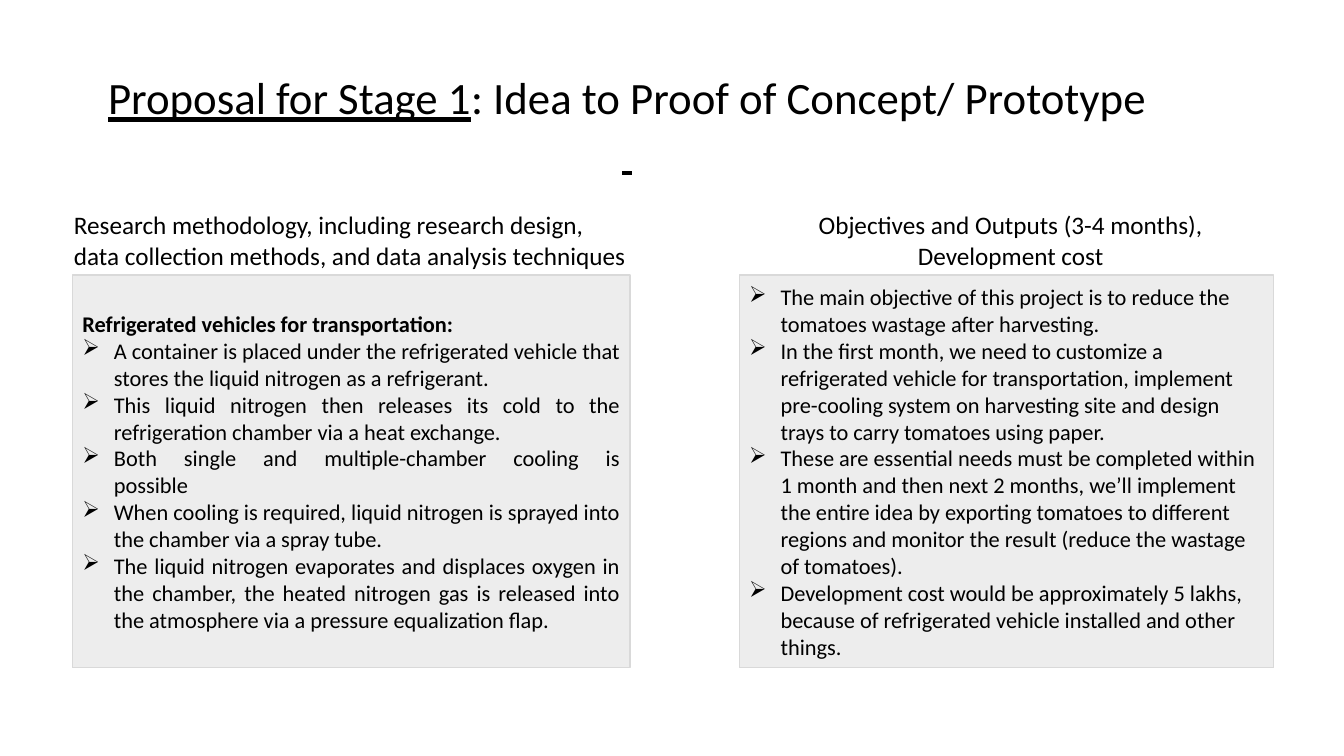
"""Build the Stage 1 proposal slide with two headed bullet panels."""
from lxml import etree
from pptx import Presentation
from pptx import util as u
from pptx.dml import color
from pptx.enum import shapes, text
from pptx.oxml import ns

FONT = "Calibri"
INK = "000000"
PANEL_TOP, PANEL_HEIGHT = 262, 374
HEADING_TOP, HEADING_HEIGHT = 195, 68
INDENT = 30

METHOD_HEADING = [
    "Research methodology, including research design,",
    "data collection methods, and data analysis techniques",
]
METHOD_TITLE = "Refrigerated vehicles for transportation:"
METHOD_BULLETS = [
    "A container is placed under the refrigerated vehicle that stores the liquid nitrogen as a refrigerant.",
    "This liquid nitrogen then releases its cold to the refrigeration chamber via a heat exchange.",
    "Both single and multiple-chamber cooling is\vpossible",
    "When cooling is required, liquid nitrogen is sprayed into the chamber via a spray tube.",
    "The liquid nitrogen evaporates and displaces oxygen in the chamber, the heated nitrogen gas "
    "is released into the atmosphere via a pressure equalization flap.",
]
OBJECTIVE_HEADING = ["Objectives and Outputs (3-4 months), Development cost"]
OBJECTIVE_BULLETS = [
    "The main objective of this project is to reduce the tomatoes wastage after harvesting.",
    "In the first month, we need to customize a refrigerated vehicle for transportation, implement "
    "pre-cooling system on harvesting site and design trays to carry tomatoes using paper.",
    "These are essential needs must be completed within 1 month and then next 2 months, we’ll implement "
    "the entire idea by exporting tomatoes to different regions and monitor the result "
    "(reduce the wastage of tomatoes).",
    "Development cost would be approximately 5 lakhs, because of refrigerated vehicle installed "
    "and other things.",
]


def px(length):
    """Turn pixels, 96 to the inch, into EMU."""
    return u.Emu(length * 9525)


def rgb(value):
    """Turn a hex string into a colour."""
    return color.RGBColor.from_string(value)


def style(para, size, align, bold=False):
    """Format a paragraph and all its runs."""
    para.alignment = align
    for span in para.runs:
        span.font.name = FONT
        span.font.size = u.Pt(size)
        span.font.bold = bold
        span.font.color.rgb = rgb(INK)


def add_bullet(para):
    """Give a paragraph a hanging arrow bullet."""
    properties = para._p.get_or_add_pPr()
    properties.set("marL", str(px(INDENT)))
    properties.set("indent", str(-px(INDENT)))
    etree.SubElement(properties, ns.qn("a:buFont")).set("typeface", "Wingdings")
    etree.SubElement(properties, ns.qn("a:buChar")).set("char", "Ø")


def add_title(page):
    """Fill the title placeholder with its partly underlined text."""
    title = page.shapes.title
    title.left, title.top, title.width, title.height = map(px, (88, 62, 1019, 113))
    frame = title.text_frame
    frame.word_wrap = True
    frame.auto_size = text.MSO_AUTO_SIZE.NONE
    frame.vertical_anchor = text.MSO_ANCHOR.TOP
    lines = [
        [("Proposal for Stage 1", True), (": Idea to Proof of Concept/ Prototype", False)],
        [(" ", True)],
    ]
    for index, line in enumerate(lines):
        para = frame.add_paragraph() if index else frame.paragraphs[0]
        for words, underlined in line:
            span = para.add_run()
            span.text = words
            span.font.underline = underlined
        style(para, 32, text.PP_ALIGN.CENTER)


def add_heading(page, left, width, lines, align):
    """Add the heading above a panel."""
    box = page.shapes.add_textbox(px(left), px(HEADING_TOP), px(width), px(HEADING_HEIGHT))
    frame = box.text_frame
    frame.word_wrap = True
    frame.text = "\n".join(lines)
    for para in frame.paragraphs:
        style(para, 18, align)


def add_panel(page, left, width, bullets, align, title=None):
    """Add a grey panel with an optional bold title and bullets."""
    panel = page.shapes.add_shape(
        shapes.MSO_SHAPE.FLOWCHART_PROCESS, px(left), px(PANEL_TOP), px(width), px(PANEL_HEIGHT))
    panel.shadow.inherit = False
    panel.fill.solid()
    panel.fill.fore_color.rgb = rgb("EDEDED")
    panel.line.color.rgb = rgb("D9D9D9")
    panel.line.width = u.Pt(1)
    frame = panel.text_frame
    frame.word_wrap = True
    frame.vertical_anchor = text.MSO_ANCHOR.MIDDLE
    frame.text = "\n".join(([title] if title else []) + bullets)
    for para in frame.paragraphs:
        if para.text == title:
            style(para, 16, text.PP_ALIGN.LEFT, bold=True)
        else:
            style(para, 16, align)
            add_bullet(para)


def main():
    """Build and save the deck."""
    deck = Presentation()
    deck.slide_width, deck.slide_height = px(1280), px(720)
    page = deck.slides.add_slide(deck.slide_layouts[5])
    add_title(page)
    justify, left, center = text.PP_ALIGN.JUSTIFY, text.PP_ALIGN.LEFT, text.PP_ALIGN.CENTER
    add_heading(page, 61, 546, METHOD_HEADING, justify)
    add_panel(page, 69, 531, METHOD_BULLETS, justify, METHOD_TITLE)
    add_heading(page, 721, 483, OBJECTIVE_HEADING, center)
    add_panel(page, 704, 509, OBJECTIVE_BULLETS, left)
    deck.save("out.pptx")


if __name__ == "__main__":
    main()
